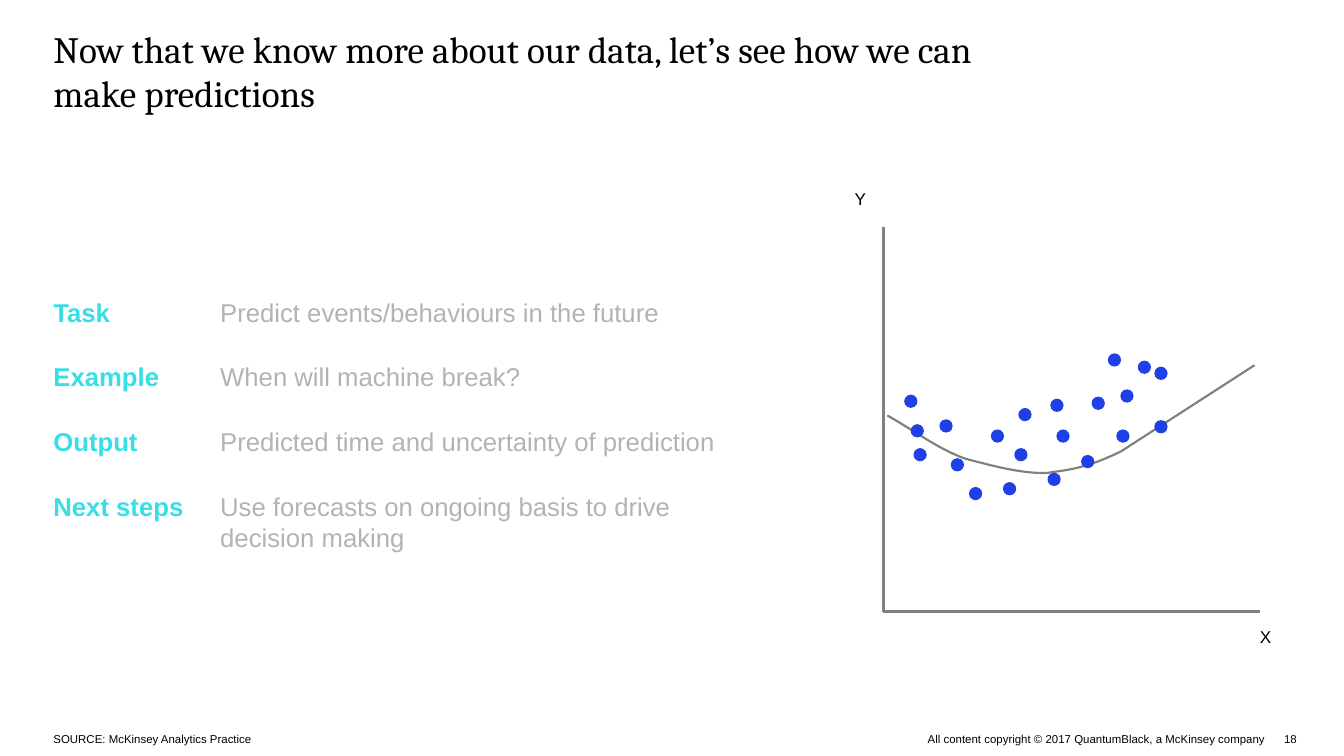
from pptx import Presentation
from pptx import util as u
from pptx.dml import color
from pptx.enum import shapes, text
from pptx.oxml import ns
from lxml import etree

BLACK, GREY, SILVER, CYAN, BLUE = "000000", "808080", "B3B3B3", "37DEE7", "1F40E6"


def rgb(value):
    return color.RGBColor.from_string(value)


def bezier(start, c1, c2, end, steps=12):
    """Points along a cubic curve, without its start."""
    for i in range(1, steps + 1):
        t = i / steps
        yield tuple((1 - t) ** 3 * a + 3 * (1 - t) ** 2 * t * b
                    + 3 * (1 - t) * t ** 2 * c + t ** 3 * d
                    for a, b, c, d in zip(start, c1, c2, end))


class SlideBuilder:
    body_font = "Arial"
    title_font = "Cambria"

    def __init__(self, prs):
        self.slide = prs.slides.add_slide(prs.slide_layouts[6])
        self.shapes = self.slide.shapes

    def words(self, lines, x, y, w, h, size, ink=BLACK, bold=False,
              font=None, align=text.PP_ALIGN.LEFT):
        frame = self.shapes.add_textbox(u.Cm(x), u.Cm(y), u.Cm(w), u.Cm(h)).text_frame
        frame.word_wrap = True
        frame.margin_left = frame.margin_right = 0
        frame.margin_top = frame.margin_bottom = 0
        paragraph = frame.paragraphs[0]
        paragraph.alignment = align
        for i, line in enumerate(lines.split("\n")):
            if i:
                paragraph.add_line_break()
            run = paragraph.add_run()
            run.text = line
            run.font.name = font or self.body_font
            run.font.size = u.Pt(size)
            run.font.bold = bold
            run.font.color.rgb = rgb(ink)

    def line(self, x1, y1, x2, y2, ink, width):
        axis = self.shapes.add_connector(shapes.MSO_CONNECTOR.STRAIGHT,
                                         u.Cm(x1), u.Cm(y1), u.Cm(x2), u.Cm(y2))
        axis.line.color.rgb = rgb(ink)
        axis.line.width = u.Pt(width)
        etree.SubElement(axis._element.spPr, ns.qn("a:effectLst"))

    def curve(self, points, ink, width):
        (x, y), *rest = [(u.Cm(px), u.Cm(py)) for px, py in points]
        builder = self.shapes.build_freeform(x, y)
        builder.add_line_segments(rest, close=False)
        trend = builder.convert_to_shape()
        trend.shadow.inherit = False
        trend.fill.background()
        trend.line.color.rgb = rgb(ink)
        trend.line.width = u.Pt(width)

    def dot(self, cx, cy, size, ink):
        point = self.shapes.add_shape(shapes.MSO_SHAPE.OVAL, u.Cm(cx - size / 2),
                                      u.Cm(cy - size / 2), u.Cm(size), u.Cm(size))
        point.shadow.inherit = False
        point.fill.solid()
        point.fill.fore_color.rgb = rgb(ink)
        point.line.color.rgb = rgb(ink)
        point.line.width = u.Pt(0.75)


TOPICS = [
    ("Task", "Predict events/behaviours in the future"),
    ("Example", "When will machine break?"),
    ("Output", "Predicted time and uncertainty of prediction"),
    ("Next steps", "Use forecasts on ongoing basis to drive\ndecision making"),
]

# Centres of the observations, in cm
OBSERVATIONS = [
    (22.5, 9.91), (22.66, 10.64), (22.73, 11.23), (23.37, 10.52), (23.65, 11.48),
    (25.22, 11.23), (24.64, 10.77), (24.1, 12.19), (24.94, 12.07), (26.04, 11.84),
    (26.87, 11.4), (26.26, 10.77), (25.32, 10.24), (26.11, 10.01), (27.13, 9.96),
    (27.74, 10.77), (28.68, 10.54), (27.84, 9.78), (27.53, 8.89), (28.27, 9.07),
    (28.68, 9.22),
]

# Trend: start, then two control points and an end for each bend
TREND_START = (21.92, 10.26)
TREND_BENDS = [
    ((22.56, 10.62), (23.19, 11.1), (23.85, 11.33)),
    ((24.36, 11.46), (25.22, 11.71), (25.86, 11.68)),
    ((26.34, 11.61), (26.82, 11.58), (27.69, 11.15)),
]
TREND_END = (30.99, 9.02)


def main():
    prs = Presentation()
    prs.slide_width, prs.slide_height = u.Cm(33.2), u.Cm(18.67)
    page = SlideBuilder(prs)
    margin = 1.32

    # Title
    page.words("Now that we know more about our data, let’s see how we can\nmake predictions",
               margin, 0.64, 30.68, 2.24, 26, font=page.title_font)

    # Topics with their descriptions
    for i, (topic, description) in enumerate(TOPICS):
        top = 7.32 + i * 1.6
        height = 0.77 * len(description.split("\n"))
        page.words(topic, margin, top, 3.5, 0.77, 18, CYAN, bold=True)
        page.words(description, 5.44, top, 14.22, height, 18, SILVER)

    # Axes
    origin_x, origin_y = 21.82, 15.11
    page.line(origin_x, 5.61, origin_x, origin_y, GREY, 2.25)
    page.line(origin_x, origin_y, 31.12, origin_y, GREY, 2.25)
    page.words("Y", 21.11, 4.65, 0.4, 0.5, 12)
    page.words("X", 31.12, 15.47, 0.4, 0.5, 12)

    # Trend and observations
    trend = [TREND_START]
    for bend in TREND_BENDS:
        trend.extend(bezier(trend[-1], *bend))
    page.curve(trend + [TREND_END], GREY, 1.5)
    for cx, cy in OBSERVATIONS:
        page.dot(cx, cy, 0.3, BLUE)

    # Footer
    footer_top, footer_height = 18.08, 0.34
    page.words("SOURCE: McKinsey Analytics Practice", margin, footer_top, 20, footer_height, 8)
    page.words("All content copyright © 2017 QuantumBlack, a McKinsey company",
               22.26, footer_top, 9, footer_height, 8, align=text.PP_ALIGN.RIGHT)
    page.words("18", 31.72, footer_top, 0.5, footer_height, 8)

    prs.save("out.pptx")


if __name__ == "__main__":
    main()
